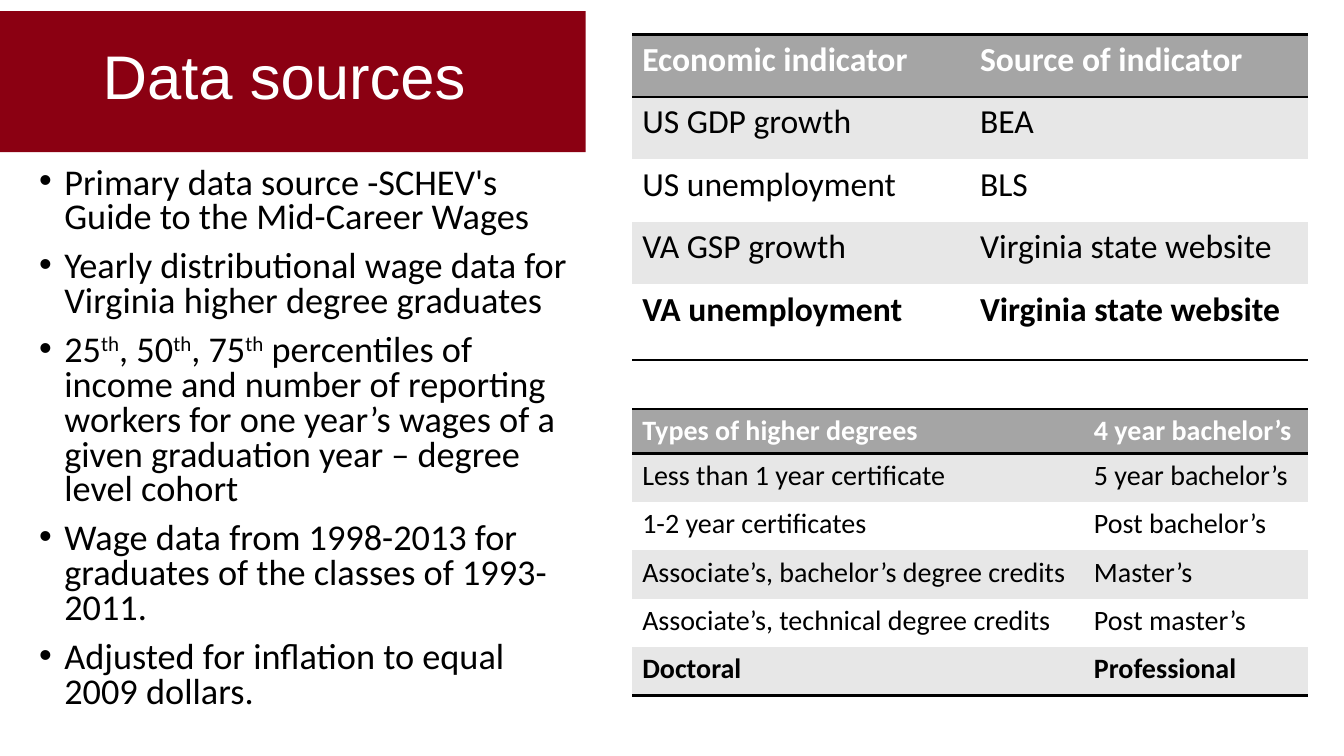
from lxml import etree
from pptx import Presentation
from pptx.dml.color import RGBColor
from pptx.enum.shapes import MSO_SHAPE
from pptx.enum.text import MSO_ANCHOR
from pptx.oxml.ns import qn
from pptx.util import Inches, Pt

RECT = MSO_SHAPE.RECTANGLE
TOP, MIDDLE = MSO_ANCHOR.TOP, MSO_ANCHOR.MIDDLE
BLACK, WHITE = "000000", "FFFFFF"
CRIMSON, HEADER_GRAY, BAND_GRAY = "8B0012", "A5A5A5", "E7E7E7"
PLAIN_STYLE = "{2D5ABB26-0587-4C30-8999-92F81FD0307C}"

BULLETS = [
    "Primary data source -SCHEV's Guide to the Mid-Career Wages",
    "Yearly distributional wage data for Virginia higher degree graduates",
    "25^th^, 50^th^, 75^th^ percentiles of income and number of reporting "
    "workers for one year’s wages of a given graduation year – degree level cohort",
    "Wage data from 1998-2013 for graduates of the classes of 1993-2011.",
    "Adjusted for inflation to equal 2009 dollars.",
]
INDICATORS = [
    ("Economic indicator", "Source of indicator"),
    ("US GDP growth", "BEA"),
    ("US unemployment", "BLS"),
    ("VA GSP growth", "Virginia state website"),
    ("VA unemployment", "Virginia state website"),
]
DEGREES = [
    ("Types of higher degrees", "4 year bachelor’s"),
    ("Less than 1 year certificate", "5 year bachelor’s"),
    ("1-2 year certificates", "Post bachelor’s"),
    ("Associate’s, bachelor’s degree credits", "Master’s"),
    ("Associate’s, technical degree credits", "Post master’s"),
    ("Doctoral", "Professional"),
]


def rgb(color):
    return RGBColor.from_string(color)


def fill(obj, color):
    obj.fill.solid()
    obj.fill.fore_color.rgb = rgb(color)


def write(p, text, size=24, font="Calibri", color=BLACK, bold=False, spacing=None, before=0):
    p.line_spacing = spacing
    p.space_before = Pt(before)
    for i, part in enumerate(text.split("^")):
        r = p.add_run()
        r.text = part
        r.font.size = Pt(size)
        r.font.name = font
        r.font.bold = bold
        r.font.color.rgb = rgb(color)
        if i % 2:
            r.font._element.set("baseline", "30000")


def add_bullet(p, indent):
    pPr = p._p.get_or_add_pPr()
    pPr.set("marL", str(Inches(indent)))
    pPr.set("indent", str(-Inches(indent)))
    etree.SubElement(pPr, qn("a:buFont"), typeface="Arial")
    etree.SubElement(pPr, qn("a:buChar"), char="•")


def add_box(s, left, top, width, height, anchor=TOP):
    tf = s.shapes.add_textbox(Inches(left), Inches(top), Inches(width), Inches(height)).text_frame
    tf.word_wrap = True
    tf.vertical_anchor = anchor
    return tf


def add_banner(s, left, top, width, height, color):
    sp = s.shapes.add_shape(RECT, Inches(left), Inches(top), Inches(width), Inches(height))
    sp.shadow.inherit = False
    sp.line.fill.background()
    fill(sp, color)


def add_border(cell, side, width=2):
    tcPr = cell._tc.get_or_add_tcPr()
    ln = etree.Element(qn(f"a:{side}"), w=str(Pt(width)))
    solid = etree.SubElement(ln, qn("a:solidFill"))
    etree.SubElement(solid, qn("a:srgbClr"), val=BLACK)
    tcPr.insert(len(tcPr.findall(qn("a:lnT"))), ln)


def add_data_table(s, rows, left, top, widths, heights, size):
    frame = s.shapes.add_table(len(rows), len(widths), Inches(left), Inches(top),
                               Inches(sum(widths)), Inches(sum(heights)))
    table = frame.table
    table.first_row = table.horz_banding = False
    table._tbl.tblPr.find(qn("a:tableStyleId")).text = PLAIN_STYLE
    for col, width in zip(table.columns, widths):
        col.width = Inches(width)
    last = len(rows) - 1
    for i, values in enumerate(rows):
        table.rows[i].height = Inches(heights[i])
        for cell, text in zip(table.rows[i].cells, values):
            fill(cell, HEADER_GRAY if i == 0 else BAND_GRAY if i % 2 else WHITE)
            write(cell.text_frame.paragraphs[0], text, size=size,
                  color=BLACK if i else WHITE, bold=i in (0, last))
            if i == 0:
                add_border(cell, "lnT")
            if i in (0, last):
                add_border(cell, "lnB")


def main():
    prs = Presentation()
    prs.slide_width, prs.slide_height = Inches(13.33), Inches(7.5)
    s = prs.slides.add_slide(prs.slide_layouts[6])

    tf = add_box(s, 0.29, 1.61, 5.51, 5.89)
    for i, text in enumerate(BULLETS):
        p = tf.add_paragraph() if i else tf.paragraphs[0]
        write(p, text, size=25.9, spacing=0.8, before=10)
        add_bullet(p, 0.25)

    add_banner(s, 0, 0.11, 5.81, 1.4, CRIMSON)
    title = add_box(s, 0.92, 0.06, 11.5, 1.45, anchor=MIDDLE)
    write(title.paragraphs[0], "Data sources", size=44, font="Arial", color=WHITE, spacing=0.9)

    add_data_table(s, INDICATORS, 6.27, 0.34, [3.35, 3.35], [0.62] * 4 + [0.75], 24)
    add_data_table(s, DEGREES, 6.27, 4.06, [4.48, 2.22], [0.44] + [0.48] * 5, 20)
    prs.save("out.pptx")


if __name__ == "__main__":
    main()
